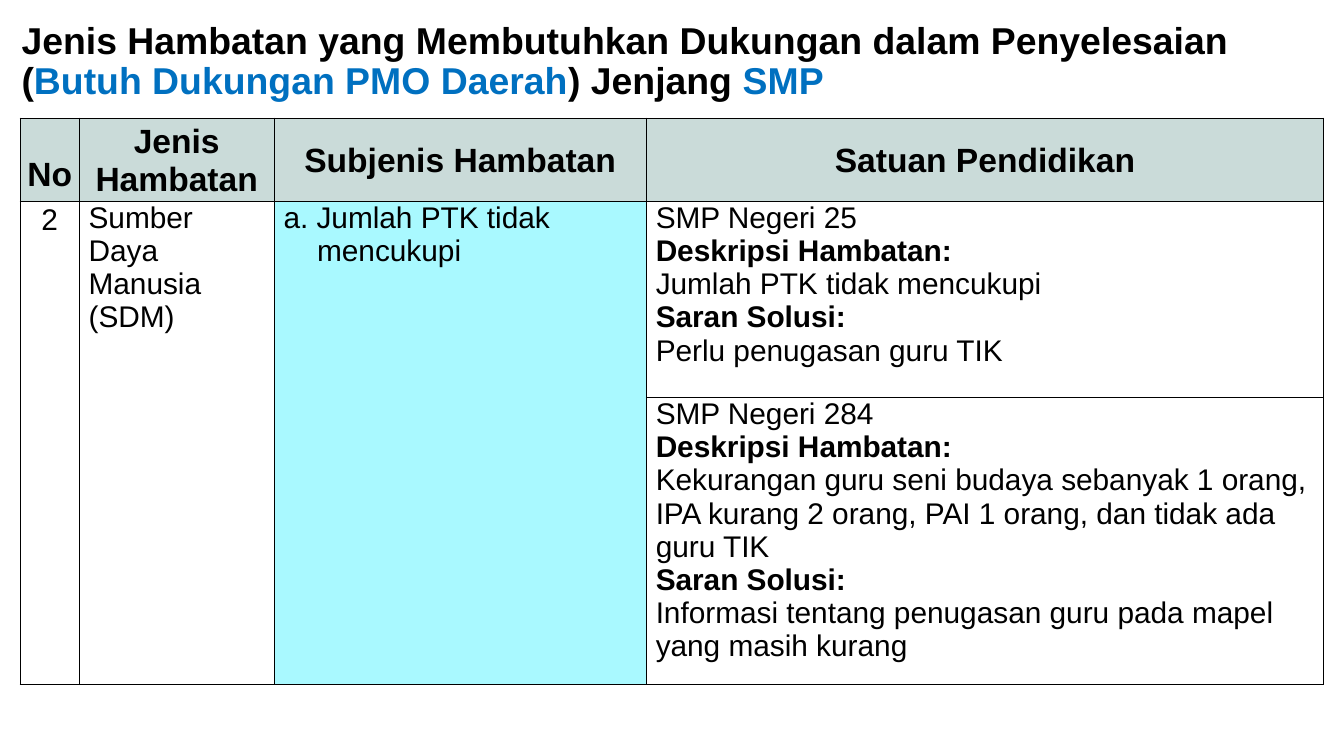
"""Build the slide on SMP obstacles that need support."""
from lxml.etree import SubElement as Sub
from pptx import Presentation
from pptx.dml.color import RGBColor
from pptx.enum.text import MSO_ANCHOR as Anchor, PP_ALIGN as Align
from pptx.oxml.ns import qn
from pptx.util import Inches, Pt


def paint(color, tone):
    color.rgb = RGBColor.from_string(tone)


def write(para, text, size, bold=False, tone="000000"):
    run = para.add_run()
    run.text = text
    form = {"name": "Arial", "size": Pt(size), "bold": bold}
    for key, val in form.items():
        setattr(run.font, key, val)
    paint(run.font.color, tone)


deck = Presentation()
deck.slide_width, deck.slide_height = Inches(10), Inches(10 * 9 / 16)
slide = deck.slides.add_slide(deck.slide_layouts[6])

box = slide.shapes.add_textbox(Inches(0.09), Inches(0.01), Inches(9.25), Inches(0.91))
frame = box.text_frame
form = {"word_wrap": True, "vertical_anchor": Anchor.MIDDLE,
        "margin_left": Inches(0.07), "margin_right": Inches(0.07),
        "margin_top": Inches(0.04), "margin_bottom": Inches(0.04)}
for key, val in form.items():
    setattr(frame, key, val)
para = frame.paragraphs[0]
para.line_spacing = 0.9
for text, tone in [
    ("Jenis Hambatan yang Membutuhkan Dukungan dalam Penyelesaian (", "000000"),
    ("Butuh Dukungan PMO Daerah", "0070C0"),
    (") Jenjang ", "000000"),
    ("SMP", "0070C0"),
]:
    write(para, text, 20, True, tone)

cols, rows = [0.44, 1.45, 2.77, 5.04], [0.62, 1.46, 1.68]
holder = slide.shapes.add_table(
    len(rows), len(cols), Inches(0.15), Inches(0.88),
    Inches(sum(cols)), Inches(sum(rows)))
grid = holder.table
grid.first_row = grid.horz_banding = False
for col, wide in zip(grid.columns, cols):
    col.width = Inches(wide)
for row, high in zip(grid.rows, rows):
    row.height = Inches(high)
holder.height = Inches(4.21)
for c in range(3):
    grid.cell(1, c).merge(grid.cell(2, c))

heads = ["Deskripsi Hambatan:", "Saran Solusi:"]
table = [
    [["No"], ["Jenis Hambatan"], ["Subjenis Hambatan"], ["Satuan Pendidikan"]],
    [["2"], ["Sumber Daya Manusia (SDM)"], ["a. Jumlah PTK tidak mencukupi"],
     ["SMP Negeri 25", heads[0], "Jumlah PTK tidak mencukupi",
      heads[1], "Perlu penugasan guru TIK"]],
    [[], [], [],
     ["SMP Negeri 284", heads[0],
      "Kekurangan guru seni budaya sebanyak 1 orang, IPA kurang 2 orang, "
      "PAI 1 orang, dan tidak ada guru TIK",
      heads[1], "Informasi tentang penugasan guru pada mapel yang masih kurang"]],
]
for r, line in enumerate(table):
    for c, texts in enumerate(line):
        cell = grid.cell(r, c)
        props = cell._tc.get_or_add_tcPr()
        for side in ("lnL", "lnR", "lnT", "lnB"):
            edge = Sub(props, qn(f"a:{side}"), w=str(Pt(0.75)))
            Sub(Sub(edge, qn("a:solidFill")), qn("a:srgbClr"), val="000000")
        if r == 0 or c == 2:
            cell.fill.solid()
            paint(cell.fill.fore_color, "A9F9FF" if r else "CADBD9")
        else:
            cell.fill.background()
        pad = Inches(0.07 if r and c else 0.01 if c else 0)
        form = {"margin_left": pad, "margin_right": pad,
                "margin_top": Inches(0 if r else 0.01 if c else 0.28),
                "margin_bottom": 0,
                "vertical_anchor": Anchor.TOP if r or not c else Anchor.MIDDLE}
        for key, val in form.items():
            setattr(cell, key, val)
        for i, text in enumerate(texts):
            frame = cell.text_frame
            para = frame.add_paragraph() if i else frame.paragraphs[0]
            para.alignment = Align.LEFT if r and c else Align.CENTER
            if text == "2":
                para.line_spacing = 1.07
            if r and c == 2:
                indent = para._p.get_or_add_pPr()
                indent.set("marL", str(Inches(0.25)))
                indent.set("indent", str(-Inches(0.25)))
            write(para, text, 16 if r else 18, r == 0 or text in heads)

deck.save("out.pptx")
